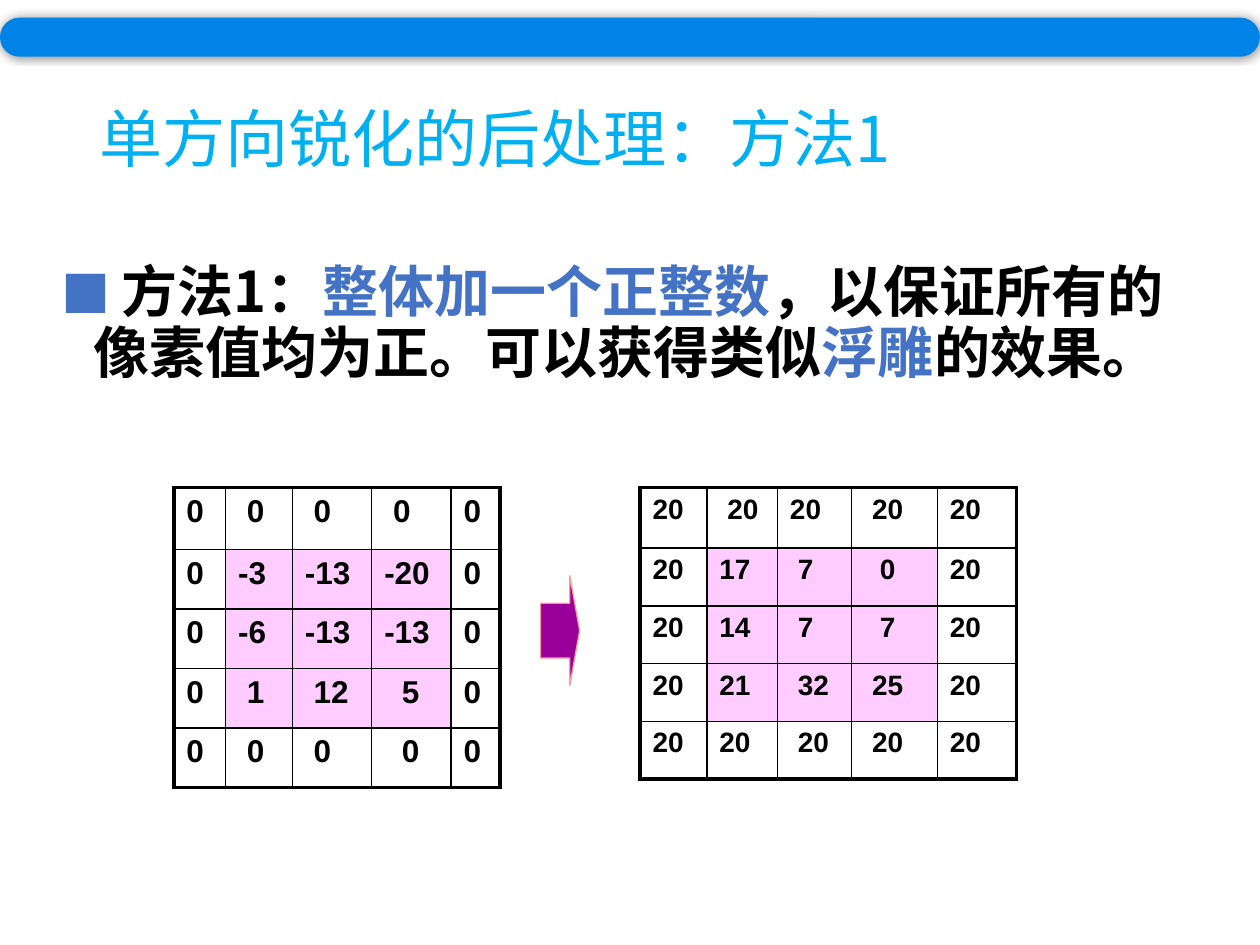
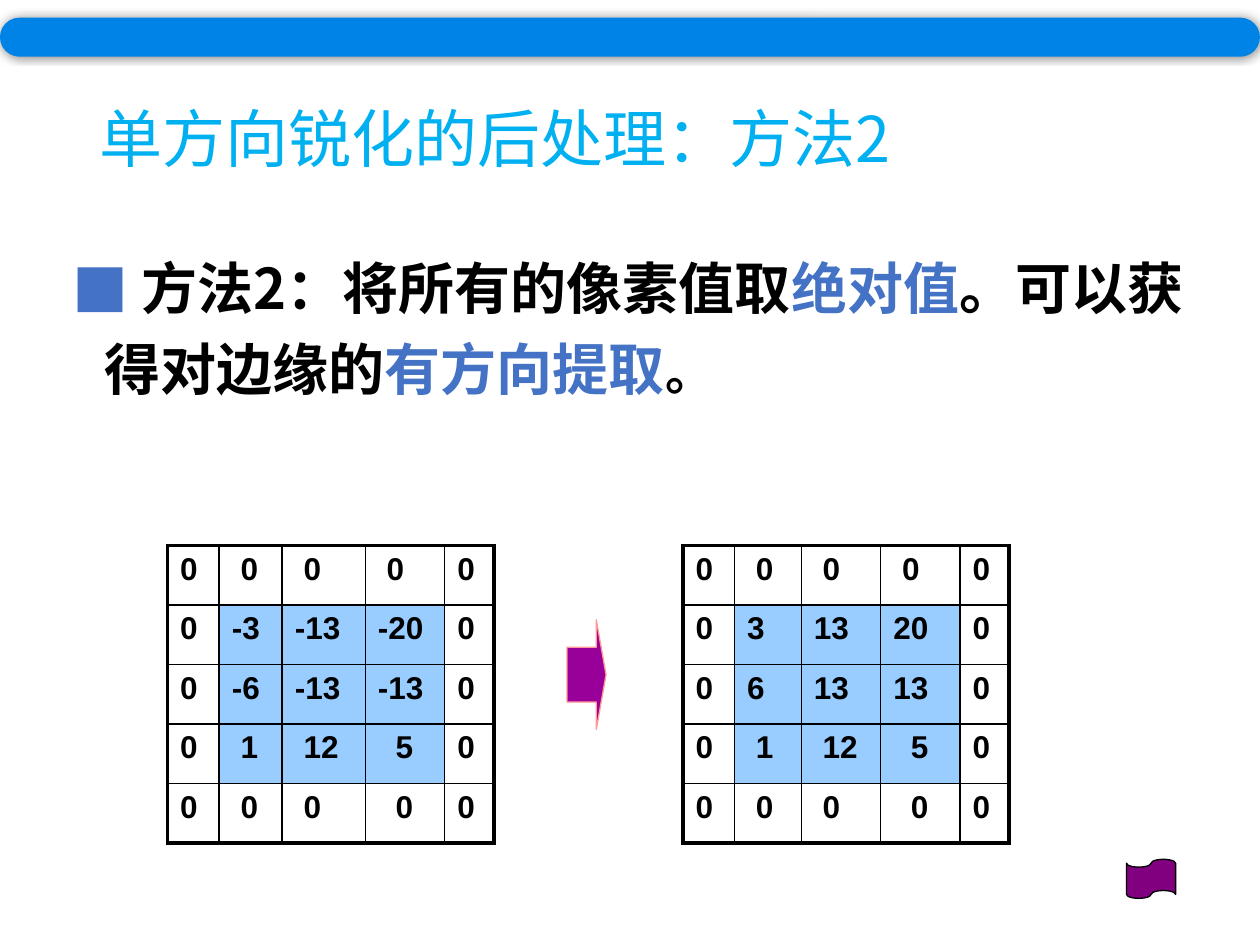
from dataclasses import dataclass

from lxml.etree import SubElement
from pptx import Presentation
from pptx.dml.color import RGBColor
from pptx.enum.shapes import MSO_SHAPE
from pptx.enum.text import MSO_ANCHOR
from pptx.oxml.ns import qn
from pptx.util import Pt


@dataclass(frozen=True)
class Theme:
    band: str = "0083E6"
    title: str = "00B0F0"
    accent: str = "4472C4"
    ink: str = "000000"
    paper: str = "FFFFFF"
    pink: str = "FFCCFF"
    sky: str = "99CCFF"
    arrow: str = "990099"
    arrow_edge: str = "FF9999"
    flag: str = "800080"
    cjk: str = "Noto Sans CJK SC"
    latin: str = "Arial"
    title_size: float = 36
    body_size: float = 32
    small_size: float = 28
    thin: float = 1
    thick: float = 2.25


class Deck:
    def __init__(self, theme):
        self.t = theme
        self.prs = Presentation()
        self.prs.slide_width, self.prs.slide_height = Pt(720), Pt(540)
        self.s = None

    def new_slide(self, title):
        self.s = self.prs.slides.add_slide(self.prs.slide_layouts[6])
        tf = self.text_box(49.68, 28.8, 620.64, 104.4)
        tf.vertical_anchor = MSO_ANCHOR.MIDDLE
        p = tf.paragraphs[0]
        p.line_spacing = 0.9
        self.run(p, title, self.t.title_size, self.t.title)

    def text_box(self, x, y, w, h):
        tf = self.s.shapes.add_textbox(Pt(x), Pt(y), Pt(w), Pt(h)).text_frame
        tf.word_wrap = True
        return tf

    def run(self, p, text, size, color, bold=False, font=None):
        r = p.add_run()
        r.text = text
        r.font.size, r.font.bold = Pt(size), bold
        r.font.name = font or self.t.cjk
        r.font.color.rgb = RGBColor.from_string(color)
        SubElement(r.font._element, qn("a:ea"), typeface=r.font.name)

    def bullet(self, x, y, w, h, spacing, pieces):
        """Pieces are (text, colour, size), one run each."""
        p = self.text_box(x, y, w, h).paragraphs[0]
        pPr = p._p.get_or_add_pPr()
        pPr.set("marL", str(Pt(18)))
        pPr.set("indent", str(Pt(-18)))
        p.line_spacing = spacing
        color = SubElement(pPr, qn("a:buClr"))
        SubElement(color, qn("a:srgbClr"), val=self.t.accent)
        SubElement(pPr, qn("a:buFont"), typeface=self.t.cjk)
        SubElement(pPr, qn("a:buChar"), char="■")
        for text, color, size in pieces:
            self.run(p, text, size, color, bold=True)

    def shape(self, kind, x, y, w, h, fill, line=None, adjust=()):
        sp = self.s.shapes.add_shape(kind, Pt(x), Pt(y), Pt(w), Pt(h))
        sp.shadow.inherit = False
        sp.fill.solid()
        sp.fill.fore_color.rgb = RGBColor.from_string(fill)
        if line:
            sp.line.color.rgb = RGBColor.from_string(line)
            sp.line.width = Pt(0.75)
        else:
            sp.line.fill.background()
        for i, value in enumerate(adjust):
            sp.adjustments[i] = value
        return sp

    def arrow(self, x, y):
        self.shape(MSO_SHAPE.RIGHT_ARROW, x, y, 22.32, 62.64,
                   self.t.arrow, self.t.arrow_edge, (0.5, 0.25))

    def band(self):
        sp = self.shape(MSO_SHAPE.ROUNDED_RECTANGLE, 0, 10.08, 720, 22.32,
                        self.t.band, adjust=(0.5,))
        effects = sp._element.spPr.find(qn("a:effectLst"))
        shadow = SubElement(effects, qn("a:outerShdw"), blurRad=str(Pt(5)),
                            dist="0", dir="0", rotWithShape="0")
        color = SubElement(shadow, qn("a:srgbClr"), val=self.t.ink)
        SubElement(color, qn("a:alpha"), val="40000")

    def border(self, cell, side, width):
        ln = SubElement(cell._tc.get_or_add_tcPr(), qn(f"a:ln{side}"),
                        w=str(Pt(width)))
        fill = SubElement(ln, qn("a:solidFill"))
        SubElement(fill, qn("a:srgbClr"), val=self.t.ink)

    def matrix(self, x, y, widths, heights, values, indents, inner, size):
        """Draw a pixel grid; indents count space widths before each value."""
        n_rows, n_cols = len(heights), len(widths)
        table = self.s.shapes.add_table(
            n_rows, n_cols, Pt(x), Pt(y), Pt(sum(widths)), Pt(sum(heights))).table
        table.first_row = table.horz_banding = False
        for column, width in zip(table.columns, widths):
            column.width = Pt(width)
        for row, height in zip(table.rows, heights):
            row.height = Pt(height)
        for i, (numbers, steps) in enumerate(zip(values, indents)):
            for j, (number, step) in enumerate(zip(numbers, steps)):
                cell = table.cell(i, j)
                edges = {"L": j == 0, "R": j == n_cols - 1,
                         "T": i == 0, "B": i == n_rows - 1}
                for side, outer in edges.items():
                    self.border(cell, side, self.t.thick if outer else self.t.thin)
                cell.fill.solid()
                cell.fill.fore_color.rgb = RGBColor.from_string(
                    self.t.paper if any(edges.values()) else inner)
                cell.margin_left = Pt(7.2 + 0.28 * size * int(step))
                self.run(cell.text_frame.paragraphs[0], str(number), size,
                         self.t.ink, bold=True, font=self.t.latin)


def framed(core, edge):
    """Surround a 3 × 3 core with a border of one value."""
    return [[edge] * 5, *([edge, *row, edge] for row in core), [edge] * 5]


# Data: sharpened pixels and the two ways to make them positive
SHARPENED = [[-3, -13, -20], [-6, -13, -13], [1, 12, 5]]
OFFSET = [[17, 7, 0], [14, 7, 7], [21, 32, 25]]
ABSOLUTE = [[abs(v) for v in row] for row in SHARPENED]

PIXEL_INDENTS = ["01110", "00000", "00000", "01120", "01120"]
OFFSET_INDENTS = ["01010", "00120", "00120", "00110", "00110"]
PIXEL_COLS = [29.52, 38.16, 45.36, 45.36, 28.08]
NARROW_COLS = [29.52, 36, 47.52, 45.36, 28.08]
OFFSET_COLS = [38.16, 40.32, 42.48, 48.96, 45.36]


def main():
    t = Theme()
    deck = Deck(t)
    big, small = t.body_size, t.small_size

    # Slide 1: add a positive integer
    deck.new_slide("单方向锐化的后处理：方法1")
    deck.bullet(28.08, 147.6, 647.28, 138.24, 0.9, [
        (" ", t.accent, small),
        ("方法1：", t.ink, big),
        ("整体加一个正整数", t.accent, big),
        ("，以保证所有的像素值均为正。可以获得类似", t.ink, big),
        ("浮雕", t.accent, big),
        ("的效果。", t.ink, big)])
    deck.arrow(308.88, 329.04)
    deck.matrix(365.76, 278.64, OFFSET_COLS, [34.56] + [33] * 4,
                framed(OFFSET, 20), OFFSET_INDENTS, t.pink, 16)
    deck.matrix(99.36, 278.64, PIXEL_COLS, [35.28] + [34] * 4,
                framed(SHARPENED, 0), PIXEL_INDENTS, t.pink, 18)
    deck.band()

    # Slide 2: take absolute values
    deck.new_slide("单方向锐化的后处理：方法2")
    deck.bullet(34.56, 133.92, 653.04, 144, 1.2, [
        (" ", t.accent, big),
        ("方法2：将所有的像素值取", t.ink, big),
        ("绝对值", t.accent, big),
        ("。可以获得对边缘的", t.ink, big),
        ("有方向提取", t.accent, big),
        ("。", t.ink, small)])
    deck.arrow(324, 354.24)
    for x, cols, core in ((390.24, PIXEL_COLS, ABSOLUTE),
                          (95.76, NARROW_COLS, SHARPENED)):
        deck.matrix(x, 311.76, cols, [34] * 5, framed(core, 0),
                    PIXEL_INDENTS, t.sky, 18)
    deck.shape(MSO_SHAPE.FLOWCHART_PUNCHED_TAPE, 643.68, 491.04, 28.08, 22.32,
               t.flag, t.ink)
    deck.band()

    deck.prs.save("out.pptx")


if __name__ == "__main__":
    main()
